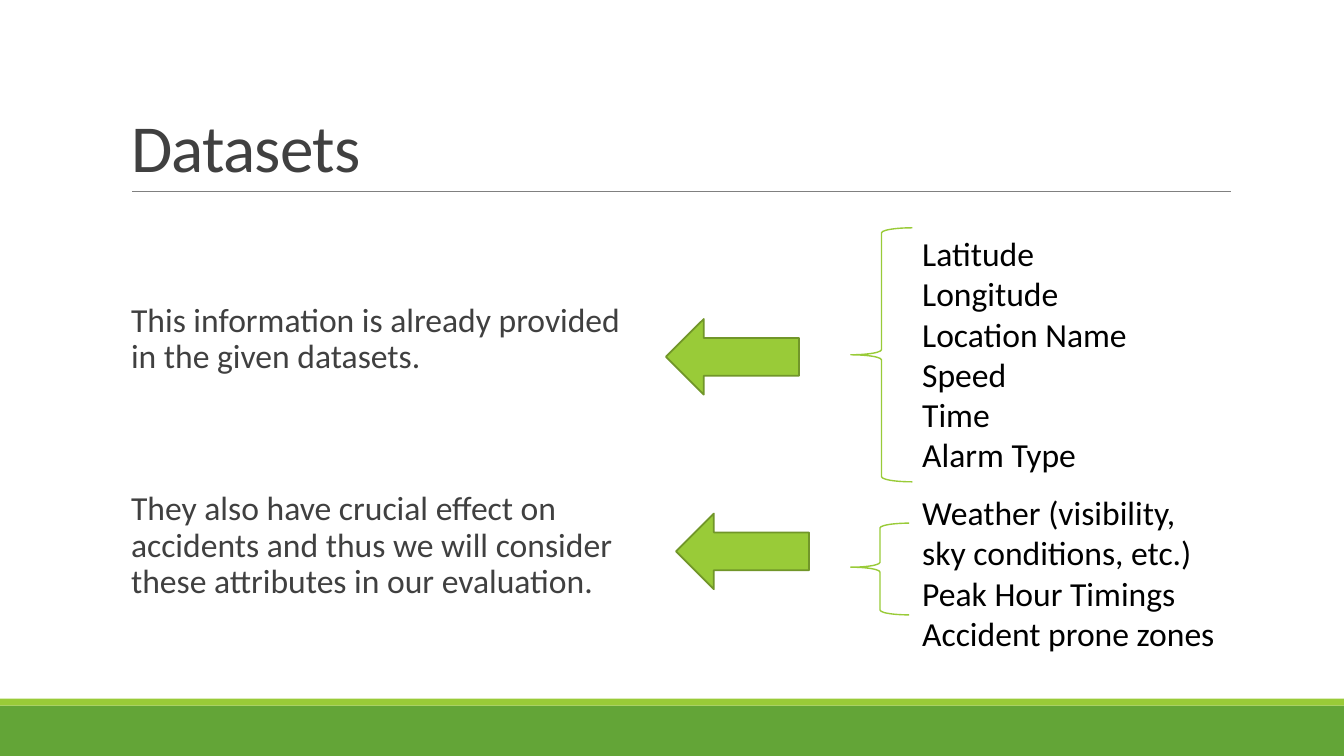
from lxml import etree
from pptx import Presentation
from pptx import util as u
from pptx.dml.color import RGBColor
from pptx.enum import shapes, text
from pptx.oxml.ns import qn

HUE = {"bar": "63A537", "lime": "99CB38", "edge": "719629",
       "rule": "808080", "ink": "404040", "list": "000000"}
FORM = shapes.MSO_SHAPE

deck = Presentation()
deck.slide_width, deck.slide_height = u.Inches(13.333), u.Inches(7.5)
page = deck.slides.add_slide(deck.slide_layouts[3])
parts = page.shapes


def area(x, y, wide, high):
    """Turn percent shares of the slide into lengths."""
    w, h = deck.slide_width / 100, deck.slide_height / 100
    return [round(n) for n in (x * w, y * h, wide * w, high * h)]


def write(shape, lines, size, hue, **form):
    """Fill a text shape and format its paragraphs alike."""
    frame = shape.text_frame
    frame.word_wrap = True
    frame.text = "\n".join(lines)
    for para in frame.paragraphs:
        para.alignment = text.PP_ALIGN.LEFT
        for name, value in form.items():
            setattr(para, name, value)
        font = para.runs[0].font
        font.name, font.size = "Calibri", u.Pt(size)
        font.color.rgb = RGBColor.from_string(HUE[hue])
    return frame


# Footer bars, arrows and braces: form, share box, fill, line, width, turn
DRAWN = [
    (FORM.RECTANGLE, (0, 93.33, 100, 6.67), "bar", None, 0, 0),
    (FORM.RECTANGLE, (0, 92.4, 100, 0.93), "lime", None, 0, 0),
    (FORM.DOWN_ARROW, (51.68, 38.4, 5.63, 17.6), "lime", "edge", 1.25, 90),
    (FORM.DOWN_ARROW, (52.43, 64.13, 5.63, 17.6), "lime", "edge", 1.25, 90),
    (FORM.LEFT_BRACE, (63.3, 30.13, 4.58, 33.6), None, "lime", 1, 0),
    (FORM.LEFT_BRACE, (63.3, 69.2, 4.35, 12.13), None, "lime", 1, 0),
]
for form, box, fill, line, width, turn in DRAWN:
    shape = parts.add_shape(form, *area(*box))
    shape.shadow.inherit = False
    shape.rotation = turn
    for paint, hue in ((shape.fill, fill), (shape.line.fill, line)):
        if hue:
            paint.solid()
            paint.fore_color.rgb = RGBColor.from_string(HUE[hue])
        else:
            paint.background()
    if line:
        shape.line.width = u.Pt(width)
shape.adjustments[1] = 0.48  # tip of the lower brace

# Rule under the title
left, top, wide, _ = area(9.83, 25.33, 81.75, 0)
rule = parts.add_connector(shapes.MSO_CONNECTOR.STRAIGHT,
                           left, top, left + wide, top)
rule.line.color.rgb = RGBColor.from_string(HUE["rule"])
rule.line.width = u.Pt(0.5)
etree.SubElement(rule.element.spPr, qn("a:effectLst"))

# Title
title, *notes = page.placeholders
title.left, title.top, title.width, title.height = area(9, 4.13, 82.5, 21.2)
frame = write(title, ["Datasets"], 48, "ink", line_spacing=0.85)
frame.vertical_anchor = text.MSO_ANCHOR.BOTTOM
frame.auto_size = text.MSO_AUTO_SIZE.NONE
frame.paragraphs[0].runs[0].font._element.set("spc", "-50")

# Remarks on the left
REMARKS = [
    ((9, 39.47, 38.48, 21.2),
     "This information is already provided in the given datasets."),
    ((9, 64.4, 40.5, 21.2),
     "They also have crucial effect on accidents and thus "
     "we will consider these attributes in our evaluation."),
]
for note, (box, words) in zip(notes, REMARKS):
    note.left, note.top, note.width, note.height = area(*box)
    frame = write(note, [words], 24, "ink", line_spacing=0.9,
                  space_before=u.Pt(12), space_after=u.Pt(2))
    frame.margin_left = frame.margin_right = 0
    frame.auto_size = text.MSO_AUTO_SIZE.NONE
    props = frame.paragraphs[0]._p.get_or_add_pPr()
    props.set("marL", str(u.Inches(0.1)))
    props.set("indent", "0")
    etree.SubElement(props, qn("a:buNone"))

# Attribute lists on the right
LISTS = [
    ((67.88, 30.13, 23.63, 33.6),
     ["Latitude", "Longitude", "Location Name", "Speed", "Time",
      "Alarm Type"]),
    ((67.88, 64.4, 23.63, 22.93),
     ["Weather (visibility, sky conditions, etc.)", "Peak Hour Timings",
      "Accident prone zones"]),
]
for box, lines in LISTS:
    frame = write(parts.add_textbox(*area(*box)), lines, 24, "list")
    frame.auto_size = text.MSO_AUTO_SIZE.SHAPE_TO_FIT_TEXT

deck.save("out.pptx")
